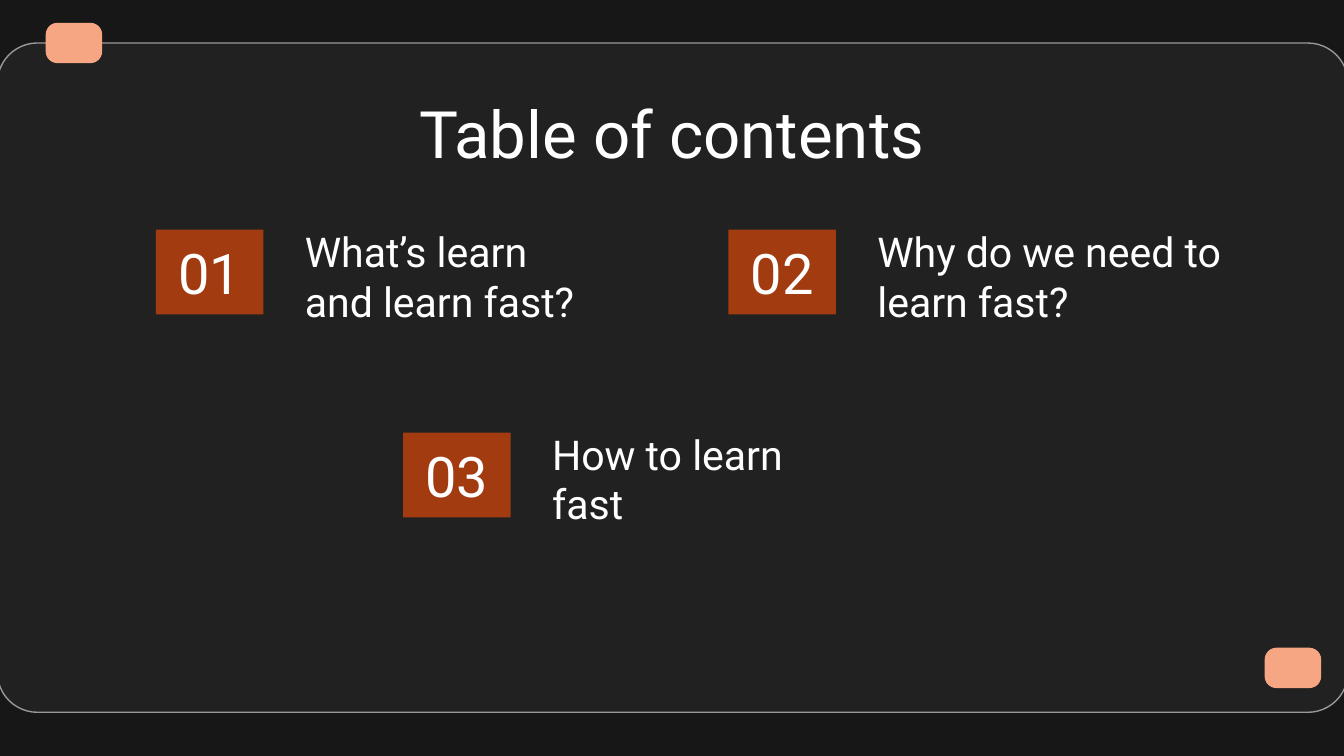
from pptx import Presentation
from pptx.dml.color import RGBColor
from pptx.enum.shapes import MSO_SHAPE
from pptx.enum.text import MSO_ANCHOR, PP_ALIGN
from pptx.util import Inches, Pt

BACKGROUND = RGBColor(0x17, 0x17, 0x17)
PANEL = RGBColor(0x21, 0x21, 0x21)
OUTLINE = RGBColor(0x99, 0x99, 0x99)
PEACH = RGBColor(0xF6, 0xA6, 0x83)
RUST = RGBColor(0xA2, 0x3C, 0x10)
WHITE = RGBColor(0xFF, 0xFF, 0xFF)
FONT = "Roboto"

TOPICS = [
    ("01", "What’s learn and learn fast?", 1.16, 1.71, 2.42),
    ("02", "Why do we need to learn fast?", 5.42, 1.71, 3.4),
    ("03", "How to learn fast", 3, 3.22, 2.42),
]


def write(box, words, size, align, anchor):
    """Put white text with even margins in a box."""
    frame = box.text_frame
    frame.text = words
    frame.word_wrap = True
    frame.vertical_anchor = anchor
    frame.margin_left = frame.margin_right = Inches(0.1)
    frame.margin_top = frame.margin_bottom = Inches(0.1)
    paragraph = frame.paragraphs[0]
    paragraph.alignment = align
    font = paragraph.runs[0].font
    font.name = FONT
    font.size = Pt(size)
    font.color.rgb = WHITE


def add_block(slide, preset, area, fill, rounding=None, outline=None):
    """Add a flat filled shape, with rounded corners or an outline if given."""
    block = slide.shapes.add_shape(preset, *map(Inches, area))
    block.shadow.inherit = False
    block.fill.solid()
    block.fill.fore_color.rgb = fill
    if rounding is not None:
        block.adjustments[0] = rounding
    if outline is None:
        block.line.fill.background()
    else:
        block.line.color.rgb = outline
        block.line.width = Pt(0.75)
    return block


def add_label(slide, area, words, size, align, anchor):
    """Add a text box."""
    label = slide.shapes.add_textbox(*map(Inches, area))
    write(label, words, size, align, anchor)


def add_backdrop(slide):
    """Add the dark panel and its two corner tabs."""
    slide.background.fill.solid()
    slide.background.fill.fore_color.rgb = BACKGROUND
    rounded = MSO_SHAPE.ROUNDED_RECTANGLE
    add_block(slide, rounded, (-0.02, 0.32, 10.05, 4.98), PANEL, 0.06, OUTLINE)
    for left, top in ((9.41, 4.82), (0.34, 0.17)):
        add_block(slide, rounded, (left, top, 0.42, 0.3), PEACH, 0.29)


def add_topic(slide, number, topic, left, top, width):
    """Add a numbered tile with its topic to the right."""
    tile = add_block(slide, MSO_SHAPE.RECTANGLE, (left, top, 0.8, 0.63), RUST)
    write(tile, number, 30, PP_ALIGN.CENTER, MSO_ANCHOR.MIDDLE)
    add_label(slide, (left + 1.01, top - 0.11, width, 0.92), topic, 22,
              PP_ALIGN.LEFT, MSO_ANCHOR.BOTTOM)


def main():
    """Build the table of contents slide."""
    deck = Presentation()
    deck.slide_width = Inches(10)
    deck.slide_height = deck.slide_width * 9 // 16
    slide = deck.slides.add_slide(deck.slide_layouts[6])
    add_backdrop(slide)
    add_label(slide, (0.78, 0.59, 8.44, 0.63), "Table of contents", 35,
              PP_ALIGN.CENTER, MSO_ANCHOR.TOP)
    for topic in TOPICS:
        add_topic(slide, *topic)
    deck.save("out.pptx")


if __name__ == "__main__":
    main()
